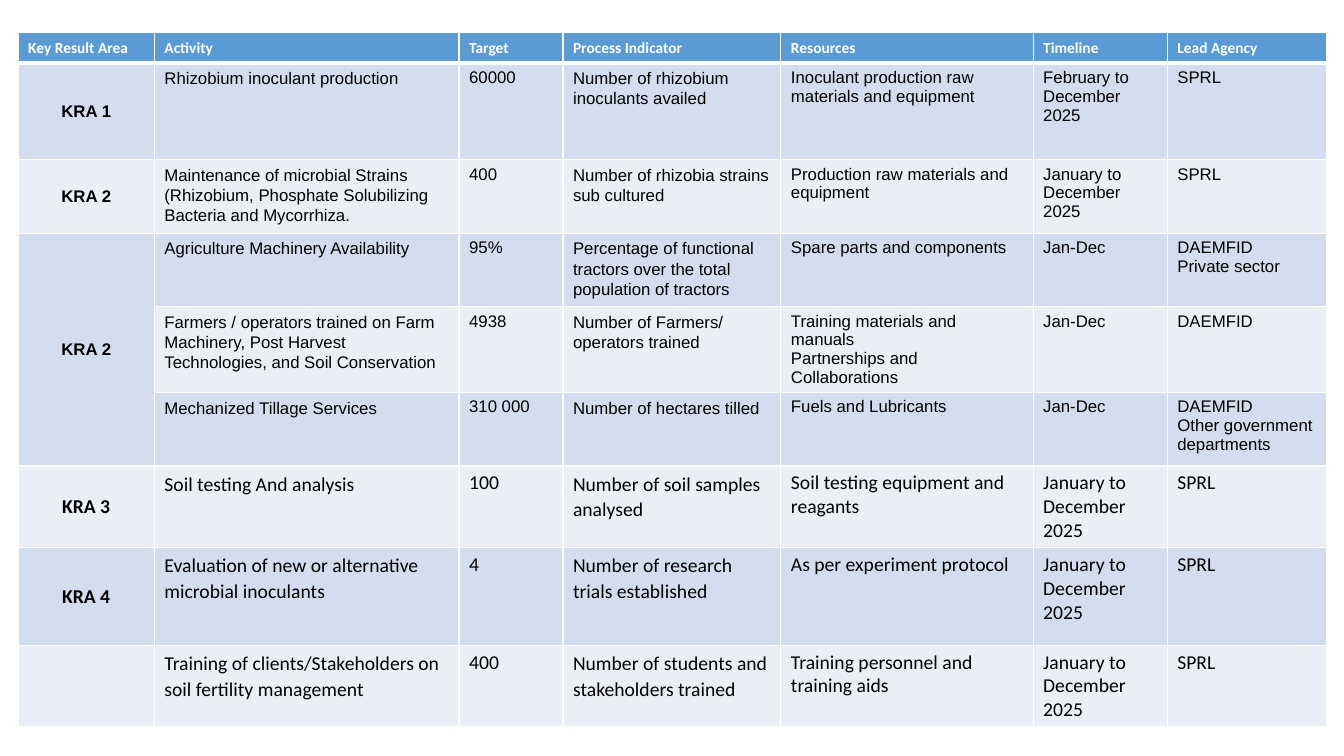
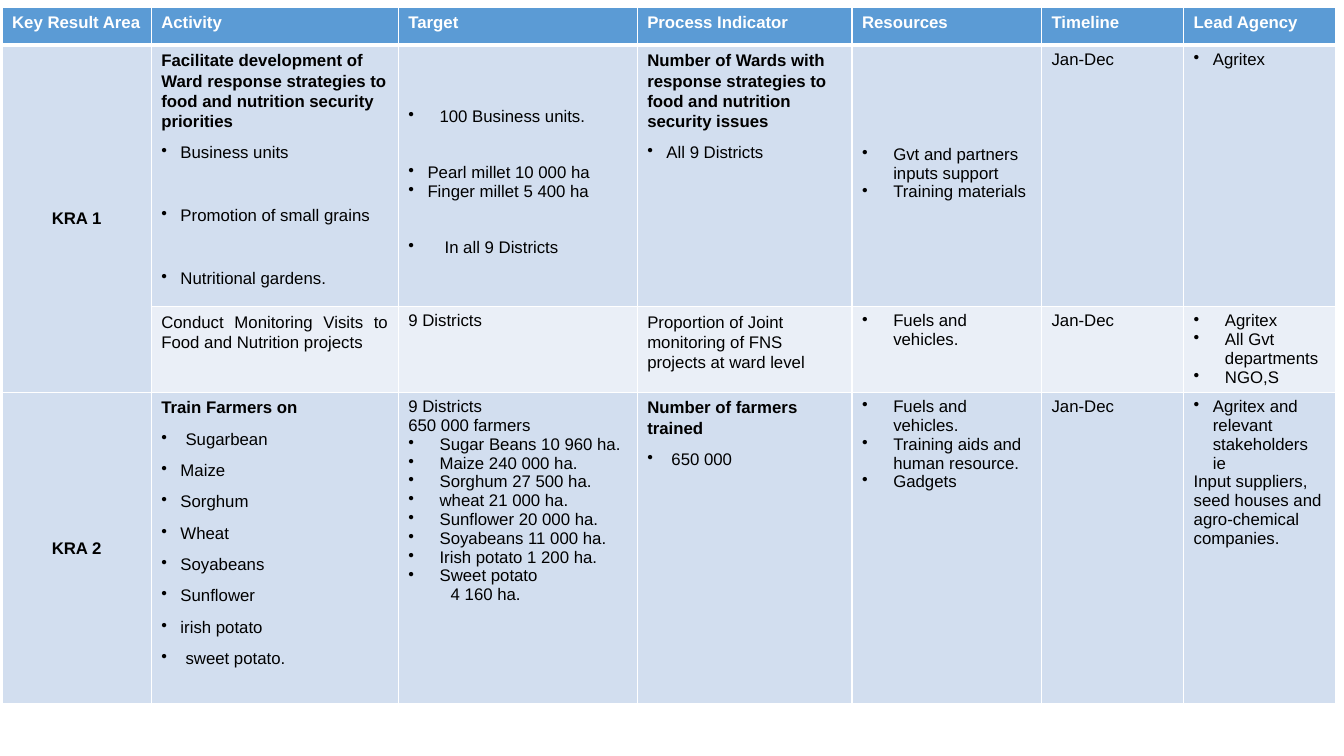
from dataclasses import dataclass, replace

from lxml.etree import SubElement
from pptx import Presentation
from pptx.dml.color import RGBColor
from pptx.enum.text import MSO_ANCHOR, PP_ALIGN
from pptx.oxml.ns import qn
from pptx.util import Inches, Pt

WHITE = RGBColor(0xFF, 0xFF, 0xFF)
BLACK = RGBColor(0x00, 0x00, 0x00)
HEADER_BLUE = RGBColor(0x5B, 0x9B, 0xD5)
DARK_BAND = RGBColor(0xD2, 0xDE, 0xEF)
LIGHT_BAND = RGBColor(0xEA, 0xEF, 0xF7)

SLIDE_WIDTH, SLIDE_HEIGHT = Inches(13.33), Inches(7.5)
HEADINGS = ["Key Result Area", "Activity", "Target", "Process Indicator",
            "Resources", "Timeline", "Lead Agency"]
LOOSE_COLUMNS = {"Activity", "Process Indicator"}
NARROW, WIDE = 0.19, 0.31
YEAR = "January to December 2025"


@dataclass(frozen=True)
class Line:
    """One paragraph of a cell with its own format."""
    text: str
    bullet: bool = False
    bold: bool = False
    indent: float = 0
    before: float = 0
    align: PP_ALIGN = PP_ALIGN.LEFT


@dataclass(frozen=True)
class Drop:
    """Cell lines that start lower than the usual top margin."""
    lines: list
    top: float


@dataclass(frozen=True)
class Face:
    """Font name and size of a row."""
    name: str
    size: int


ARIAL = Face("Arial", 12)
CALIBRI = Face("Calibri", 14)
CALIBRI_SMALL = Face("Calibri", 11)


def bullets(*texts, indent=NARROW, before=0):
    """Return bulleted lines that share one indent."""
    return [Line(text, bullet=True, indent=indent, before=before) for text in texts]


def lead(text):
    """Return a bold opening line."""
    return Line(text, bold=True)


def write_text(para, text, face, color=BLACK, bold=False, align=PP_ALIGN.LEFT,
               loose=False, bullet=False, indent=0, before=0):
    """Write one formatted paragraph."""
    properties = para._p.get_or_add_pPr()
    properties.set("marL", str(Inches(indent)))
    properties.set("indent", str(-Inches(indent) if bullet else 0))
    if bullet:
        SubElement(properties, qn("a:buChar")).set("char", "•")
    para.alignment = align
    para.line_spacing = 1.07 if loose else 1.0
    para.space_before = Pt(before)
    para.space_after = Pt(8 if loose else 0)
    span = para.add_run()
    span.text = text
    span.font.name, span.font.size = face.name, Pt(face.size)
    span.font.bold = bold
    span.font.color.rgb = color


def paint_cell(cell, fill, top_line=1, bottom_line=1):
    """Give a cell its white borders and solid fill."""
    properties = cell._tc.get_or_add_tcPr()
    for side, width in (("L", 1), ("R", 1), ("T", top_line), ("B", bottom_line)):
        border = SubElement(properties, qn(f"a:ln{side}"))
        border.set("w", str(Pt(width)))
        solid = SubElement(border, qn("a:solidFill"))
        SubElement(solid, qn("a:srgbClr")).set("val", str(WHITE))
    cell.fill.solid()
    cell.fill.fore_color.rgb = fill


def fill_cell(cell, content, face, loose=False, **shared):
    """Write a string, a line list or a dropped line list into a cell."""
    if isinstance(content, Drop):
        cell.margin_top = Inches(content.top)
        content = content.lines
    lines = content if isinstance(content, list) else [content]
    for index, line in enumerate(lines):
        line = line if isinstance(line, Line) else Line(line)
        frame = cell.text_frame
        para = frame.paragraphs[0] if index == 0 else frame.add_paragraph()
        options = dict(bold=line.bold, align=line.align, bullet=line.bullet,
                       indent=line.indent, before=line.before)
        write_text(para, line.text, face, loose=loose, **{**options, **shared})


def add_plan(deck, box, columns, heights, header_face, rows):
    """Add a slide with a work plan table, its box given in percent of the slide."""
    page = deck.slides.add_slide(deck.slide_layouts[6])
    left, top, width, height = (
        int(side * share / 100) for side, share in
        zip((SLIDE_WIDTH, SLIDE_HEIGHT) * 2, box))
    table = page.shapes.add_table(len(heights), len(columns),
                                  left, top, width, height).table
    for column, share in zip(table.columns, columns):
        column.width = int(width * share / sum(columns))
    for row, share in zip(table.rows, heights):
        row.height = int(height * share / sum(heights))

    for cell, heading in zip(table.rows[0].cells, HEADINGS):
        paint_cell(cell, HEADER_BLUE, bottom_line=3)
        fill_cell(cell, heading, header_face, loose=True, color=WHITE, bold=True)

    group_start = 1
    for number, (face, contents) in enumerate(rows, start=1):
        band = DARK_BAND if number % 2 else LIGHT_BAND
        for index, content in enumerate(contents):
            cell = table.cell(number, index)
            paint_cell(cell, band, top_line=3 if number == 1 else 1)
            if index == 0:
                cell.vertical_anchor = MSO_ANCHOR.MIDDLE
                if content:
                    fill_cell(cell, content, face, bold=True, align=PP_ALIGN.CENTER)
            else:
                fill_cell(cell, content, face, loose=HEADINGS[index] in LOOSE_COLUMNS)
        if contents[0] is None:
            continue
        merge_group(table, group_start, number - 1)
        group_start = number
    merge_group(table, group_start, len(rows))


def merge_group(table, first, last):
    """Merge the key result cells of one group of rows."""
    if last > first:
        table.cell(first, 0).merge(table.cell(last, 0))


def add_soil_plan(deck):
    """Add the plan for inoculants, machinery and soil testing."""
    rows = [
        (ARIAL, ["KRA 1", "Rhizobium inoculant production", "60000",
                 "Number of rhizobium inoculants availed",
                 "Inoculant production raw materials and equipment",
                 "February to December 2025", "SPRL"]),
        (ARIAL, ["KRA 2",
                 "Maintenance of microbial Strains (Rhizobium, Phosphate "
                 "Solubilizing Bacteria and Mycorrhiza.", "400",
                 "Number of rhizobia strains sub cultured",
                 "Production raw materials and equipment", YEAR, "SPRL"]),
        (ARIAL, ["KRA 2", "Agriculture Machinery Availability", "95%",
                 "Percentage of functional tractors over the total population of tractors",
                 "Spare parts and components", "Jan-Dec",
                 ["DAEMFID", "Private sector"]]),
        (ARIAL, [None,
                 "Farmers / operators trained on Farm Machinery, Post Harvest "
                 "Technologies, and Soil Conservation", "4938",
                 "Number of Farmers/ operators trained",
                 ["Training materials and manuals", "Partnerships and Collaborations"],
                 "Jan-Dec", "DAEMFID"]),
        (ARIAL, [None, "Mechanized Tillage Services", "310 000",
                 "Number of hectares tilled", "Fuels and Lubricants", "Jan-Dec",
                 ["DAEMFID", "Other government departments"]]),
        (CALIBRI, ["KRA 3", "Soil testing And analysis", "100",
                   "Number of soil samples analysed",
                   "Soil testing equipment and reagants", YEAR, "SPRL"]),
        (CALIBRI, ["KRA 4", "Evaluation of new or alternative microbial inoculants",
                   "4", "Number of research trials established",
                   "As per experiment protocol", YEAR, "SPRL"]),
        (CALIBRI, ["", "Training of clients/Stakeholders on soil fertility management",
                   "400", "Number of students and stakeholders trained",
                   "Training personnel and training aids", YEAR, "SPRL"]),
    ]
    add_plan(deck, (1.35, 4.33, 97.37, 91.8),
             [1.35, 3.02, 1.03, 2.16, 2.5, 1.33, 1.58],
             [0.3, 0.96, 0.73, 0.73, 0.85, 0.73, 0.81, 0.97, 0.81],
             CALIBRI_SMALL, rows)


def add_food_plan(deck):
    """Add the plan for food security and farmer training."""
    one_space = 0.05
    businesses = bullets("100 Business units.", indent=WIDE)
    millets = bullets("Pearl millet 10 000 ha", "Finger millet 5 400 ha")
    millets[0] = replace(millets[0], before=26.7)
    districts = bullets("In all 9 Districts", indent=WIDE + one_space, before=26.7)
    rows = [
        (ARIAL, ["KRA 1",
                 [lead("Facilitate development of Ward response strategies to food "
                       "and nutrition security priorities"),
                  *bullets("Business units"),
                  *bullets("Promotion of small grains", "Nutritional gardens.",
                           before=22.5)],
                 Drop(businesses + millets + districts, 0.61),
                 [lead("Number of Wards with response strategies to food and "
                       "nutrition security issues"), *bullets("All 9 Districts")],
                 Drop(bullets("Gvt and partners inputs support",
                              "Training materials", indent=WIDE), 0.99),
                 "Jan-Dec", bullets("Agritex")]),
        (ARIAL, [None,
                 Line("Conduct Monitoring Visits to Food and Nutrition projects",
                      align=PP_ALIGN.JUSTIFY),
                 "9 Districts",
                 "Proportion of Joint monitoring of FNS projects at ward level",
                 bullets("Fuels and vehicles.", indent=WIDE), "Jan-Dec",
                 bullets("Agritex", "All Gvt departments", "NGO,S", indent=WIDE)]),
        (ARIAL, ["KRA 2",
                 [lead("Train Farmers on"),
                  *bullets("Sugarbean", indent=NARROW + one_space),
                  *bullets("Maize", "Sorghum", "Wheat", "Soyabeans", "Sunflower",
                           "irish potato"),
                  *bullets("sweet potato.", indent=NARROW + one_space)],
                 ["9 Districts", "650 000 farmers",
                  *bullets("Sugar Beans 10 960 ha.", "Maize 240 000 ha.",
                           "Sorghum 27 500 ha.", "wheat 21 000 ha.",
                           "Sunflower 20 000 ha.", "Soyabeans 11 000 ha.",
                           "Irish potato 1 200 ha.", "Sweet potato", indent=WIDE),
                  Line("4 160 ha.", indent=0.42)],
                 [lead("Number of farmers trained"),
                  *bullets("650 000", indent=NARROW + one_space)],
                 bullets("Fuels and vehicles.", "Training aids and human resource.",
                         "Gadgets", indent=WIDE),
                 "Jan-Dec",
                 [*bullets("Agritex and relevant stakeholders ie"),
                  "Input suppliers, seed houses and agro-chemical companies."]]),
    ]
    add_plan(deck, (0.15, 0.93, 99.25, 92.2),
             [1.48, 2.45, 2.37, 2.13, 1.88, 1.41, 1.51],
             [0.38, 2.59, 0.85, 3.09], ARIAL, rows)


def main():
    """Build and save the deck."""
    deck = Presentation()
    deck.slide_width, deck.slide_height = SLIDE_WIDTH, SLIDE_HEIGHT
    add_soil_plan(deck)
    add_food_plan(deck)
    deck.save("out.pptx")


if __name__ == "__main__":
    main()
